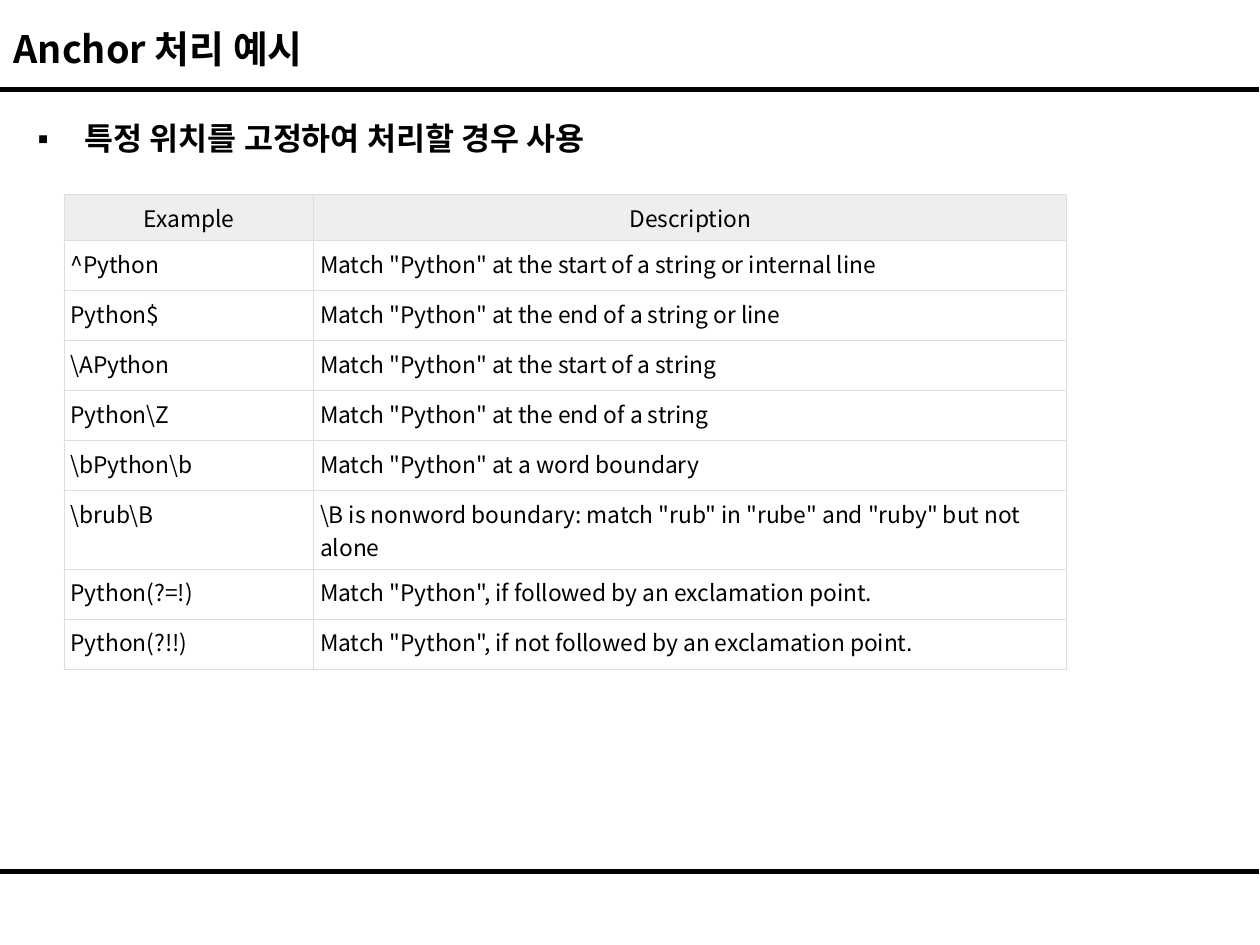
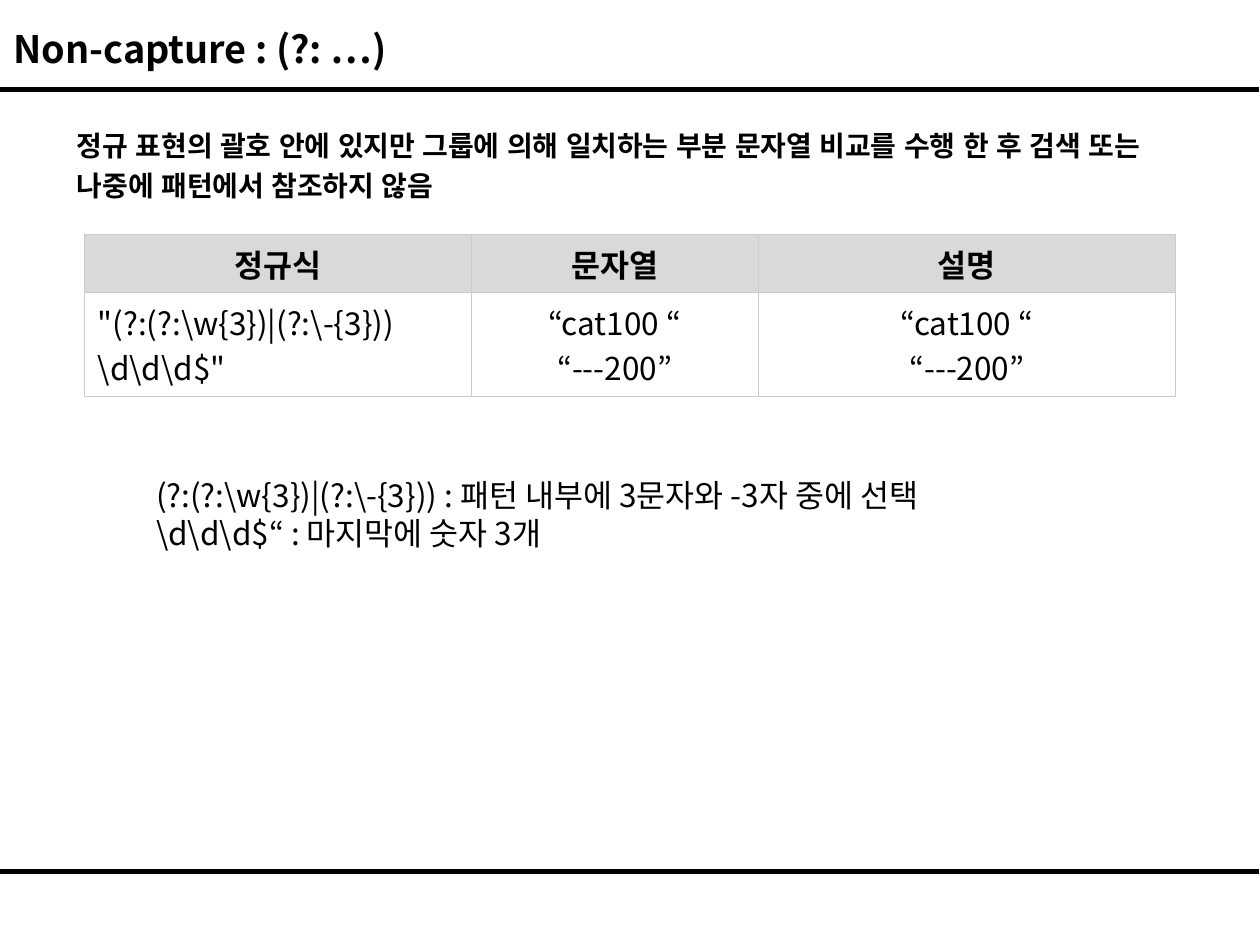
from lxml import etree
from pptx import Presentation
from pptx.dml.color import RGBColor
from pptx.enum import shapes, text
from pptx.oxml import ns
from pptx.util import Pt

ANCHORS = [
    ("Example", "Description"),
    ("^Python", 'Match "Python" at the start of a string or internal line'),
    ("Python$", 'Match "Python" at the end of a string or line'),
    (r"\APython", 'Match "Python" at the start of a string'),
    (r"Python\Z", 'Match "Python" at the end of a string'),
    (r"\bPython\b", 'Match "Python" at a word boundary'),
    (r"\brub\B",
     r'\B is nonword boundary: match "rub" in "rube" and "ruby" but not alone'),
    ("Python(?=!)", 'Match "Python", if followed by an exclamation point.'),
    ("Python(?!!)", 'Match "Python", if not followed by an exclamation point.'),
]
MATCHES = "“cat100 “\n“---200”"
GROUPS = [
    ("정규식", "문자열", "설명"),
    (r'"(?:(?:\w{3})|(?:\-{3}))\d\d\d$"', MATCHES, MATCHES),
]
USE = "특정 위치를 고정하여 처리할 경우 사용"
INTRO = ("정규 표현의 괄호 안에 있지만 그룹에 의해 일치하는 부분 문자열 비교를 "
         "수행 한 후 검색 또는 나중에 패턴에서 참조하지 않음")
NOTES = (r"(?:(?:\w{3})|(?:\-{3})) : 패턴 내부에 3문자와 -3자 중에 선택" "\n"
         r"\d\d\d$“ : 마지막에 숫자 3개")

BLACK = RGBColor(0, 0, 0)
WHITE = RGBColor(255, 255, 255)
PALE = RGBColor(0xEE, 0xEE, 0xEE)
GRAY = RGBColor(0xD9, 0xD9, 0xD9)
NOTO = "Noto Sans CJK KR"
LEFT, MID = text.PP_ALIGN.LEFT, text.PP_ALIGN.CENTER
TOP, CENTER = text.MSO_ANCHOR.TOP, text.MSO_ANCHOR.MIDDLE
RULES = (51.1, 497.8)

# Per table: place, columns, row heights, insets, colours and alignments
ANCHOR_LOOK = dict(at=(36.7, 111.3), cols=(142.6, 430.3),
                   rows=[26.3] + [28.6] * 5 + [44.8] + [28.6] * 2,
                   pad=3.6, head=PALE, edge="DDDDDD", size=13, bold=False,
                   aligns=(LEFT, LEFT), anchor=TOP)
GROUP_LOOK = dict(at=(48.2, 133.9), cols=(221, 164.2, 238.3), rows=[33.1, 59.6],
                  pad=7.7, head=GRAY, edge="CCCCCC", size=18, bold=True,
                  aligns=(LEFT, MID, MID), anchor=CENTER)


def add(node, tag, **attrs):
    return etree.SubElement(node, ns.qn(tag), attrs)


def write(frame, words, size, bold=False, font=NOTO, align=LEFT, pitch=None):
    frame.text = words
    for para in frame.paragraphs:
        para.alignment = align
        if pitch:
            para.line_spacing = Pt(pitch)
        for run in para.runs:
            look = dict(name=font, size=Pt(size), bold=bold)
            for key, value in look.items():
                setattr(run.font, key, value)
            run.font.color.rgb = BLACK
            for tag in ("a:ea", "a:cs"):
                add(run.font._element, tag, typeface=font)


def put(slide, words, box, size, anchor=TOP, **look):
    shape = slide.shapes.add_textbox(*map(Pt, box))
    frame = shape.text_frame
    frame.word_wrap = True
    frame.vertical_anchor = anchor
    write(frame, words, size, **look)
    return frame


def bullet(para, mark, indent):
    props = para._p.get_or_add_pPr()
    props.set("marL", str(Pt(indent)))
    props.set("indent", str(-Pt(indent)))
    add(props, "a:buFont", typeface="Arial")
    add(props, "a:buChar", char=mark)


def edge(cell, color):
    """Draw the four borders of a cell; they must come before its fill."""
    props = cell._tc.get_or_add_tcPr()
    for spot, side in enumerate("LRTB"):
        line = add(props, "a:ln" + side, w=str(Pt(0.6)))
        add(add(line, "a:solidFill"), "a:srgbClr", val=color)
        props.insert(spot, line)


def grid(slide, data, look):
    cols, rows, pad = look["cols"], look["rows"], look["pad"]
    size = (sum(cols), sum(rows))
    table = slide.shapes.add_table(
        len(rows), len(cols), *map(Pt, look["at"] + size)).table
    for col, width in zip(table.columns, cols):
        col.width = Pt(width)
    for r, (row, height) in enumerate(zip(table.rows, rows)):
        row.height = Pt(height)
        for c, words in enumerate(data[r]):
            cell, head = table.cell(r, c), r == 0
            form = dict(margin_left=Pt(pad), margin_right=Pt(pad),
                        margin_top=Pt(3.6), margin_bottom=Pt(3.6),
                        vertical_anchor=look["anchor"])
            for key, value in form.items():
                setattr(cell, key, value)
            write(cell.text_frame, words, look["size"],
                  bold=head and look["bold"],
                  align=MID if head else look["aligns"][c])
            cell.fill.solid()
            cell.fill.fore_color.rgb = look["head"] if head else WHITE
            edge(cell, look["edge"])


def page(deck, title):
    """Add a slide with the shared rules and title."""
    slide = deck.slides.add_slide(deck.slide_layouts[6])
    for y in RULES:
        rule = slide.shapes.add_connector(
            shapes.MSO_CONNECTOR.STRAIGHT, Pt(-0.7), Pt(y), Pt(719.3), Pt(y))
        rule.line.color.rgb = BLACK
        rule.line.width = Pt(2.75)
        add(rule._element.spPr, "a:effectLst")
    put(slide, title, (0.7, 11, 711.4, 33.1), 21.6, anchor=CENTER, bold=True)
    return slide


def main():
    deck = Presentation()
    deck.slide_width, deck.slide_height = Pt(720), Pt(540)

    slide = page(deck, "Anchor 처리 예시")
    grid(slide, ANCHORS, ANCHOR_LOOK)
    body = put(slide, USE, (14.4, 60.5, 648, 70.6), 18, bold=True, pitch=25.7)
    bullet(body.paragraphs[0], "▪", 27)

    slide = page(deck, "Non-capture : (?: …)")
    put(slide, INTRO, (36.9, 66.2, 648, 132.5), 16, bold=True, font="Arial",
        pitch=22.9)
    grid(slide, GROUPS, GROUP_LOOK)
    put(slide, NOTES, (82.1, 268.5, 550, 51), 18, pitch=21.7)

    deck.save("out.pptx")


if __name__ == "__main__":
    main()
